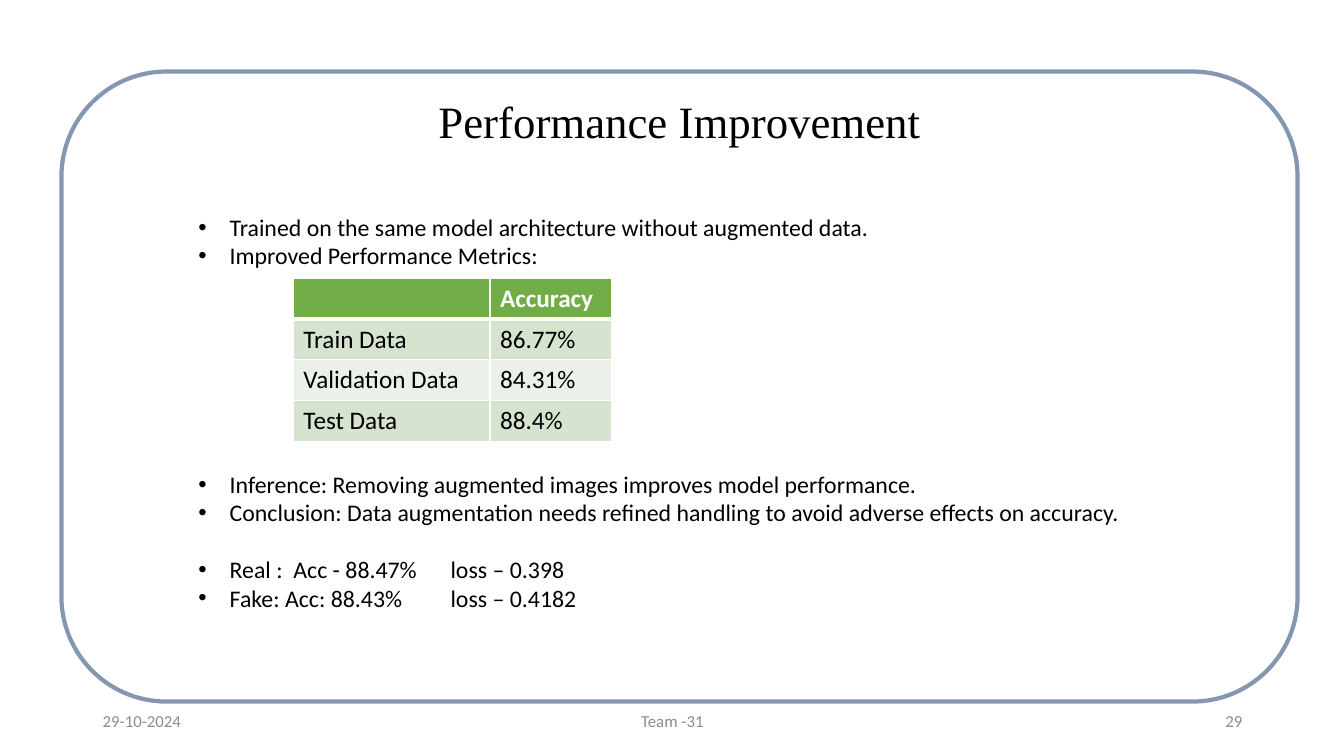
from pptx import Presentation
from pptx import util as u
from pptx.dml.color import RGBColor
from pptx.enum import shapes, text
from pptx.oxml.ns import qn
from lxml import etree

BLACK = RGBColor(0x00, 0x00, 0x00)
WHITE = RGBColor(0xFF, 0xFF, 0xFF)
GREY = RGBColor(0x8C, 0x8C, 0x8C)
FRAME_BLUE = RGBColor(0x84, 0x97, 0xB0)
GREEN = RGBColor(0x70, 0xAD, 0x47)
BANDS = (RGBColor(0xEB, 0xF1, 0xE9), RGBColor(0xD5, 0xE3, 0xCF))

FINDINGS = [
    "Trained on the same model architecture without augmented data.",
    "Improved Performance Metrics:",
]
CONCLUSIONS = [
    "Inference: Removing augmented images improves model performance.",
    "Conclusion: Data augmentation needs refined handling to avoid adverse effects on accuracy.",
    "Real :  Acc - 88.47%\tloss – 0.398",
    "Fake: Acc: 88.43%\tloss – 0.4182",
]
ACCURACY = [
    ("", "Accuracy"),
    ("Train Data", "86.77%"),
    ("Validation Data", "84.31%"),
    ("Test Data", "88.4%"),
]


class SlideBuilder:
    """Holds the text style and the current slide, and adds elements to it."""

    def __init__(self, slide, font_name="Calibri"):
        self.slide = slide
        self.font_name = font_name

    def style(self, paragraph, size, color, bold=False, font_name=None):
        font = paragraph.font
        font.name = font_name or self.font_name
        font.size = u.Pt(size)
        font.bold = bold
        font.color.rgb = color

    def frame(self, left, top, width, height):
        shape = self.slide.shapes.add_shape(
            shapes.MSO_SHAPE.ROUNDED_RECTANGLE,
            u.Inches(left), u.Inches(top), u.Inches(width), u.Inches(height))
        shape.shadow.inherit = False
        shape.fill.background()
        shape.line.color.rgb = FRAME_BLUE
        shape.line.width = u.Pt(3)

    def text_frame(self, left, top, width, height):
        box = self.slide.shapes.add_textbox(
            u.Inches(left), u.Inches(top), u.Inches(width), u.Inches(height))
        box.text_frame.word_wrap = True
        return box.text_frame

    def label(self, words, left, top, width, height, align, size=12, color=GREY,
              font_name=None, anchor=text.MSO_ANCHOR.MIDDLE):
        frame = self.text_frame(left, top, width, height)
        frame.vertical_anchor = anchor
        paragraph = frame.paragraphs[0]
        paragraph.text = words
        paragraph.alignment = align
        self.style(paragraph, size, color, font_name=font_name)

    def bullets(self, items, left, top, width, height, gap_before=None):
        frame = self.text_frame(left, top, width, height)
        for index, item in enumerate(items):
            paragraph = frame.add_paragraph() if index else frame.paragraphs[0]
            paragraph.text = item
            if index == gap_before:
                paragraph.space_before = u.Pt(20)
            properties = paragraph._p.get_or_add_pPr()
            properties.set("marL", str(u.Inches(0.31)))
            properties.set("indent", str(-u.Inches(0.31)))
            etree.SubElement(properties, qn("a:buFont"), typeface="Arial")
            etree.SubElement(properties, qn("a:buChar"), char="•")
            self.style(paragraph, 17, BLACK)

    def cell_borders(self, cell, bottom_width):
        properties = cell._tc.get_or_add_tcPr()
        for side in "LRTB":
            width = bottom_width if side == "B" else 1
            line = etree.SubElement(properties, qn(f"a:ln{side}"), w=str(u.Pt(width)))
            fill = etree.SubElement(line, qn("a:solidFill"))
            etree.SubElement(fill, qn("a:srgbClr"), val=str(WHITE))

    def table(self, rows, left, top, column_widths, row_height):
        table = self.slide.shapes.add_table(
            len(rows), len(column_widths), u.Inches(left), u.Inches(top),
            u.Inches(sum(column_widths)), u.Inches(row_height * len(rows))).table
        for column, width in zip(table.columns, column_widths):
            column.width = u.Inches(width)
        for row_index, row in enumerate(rows):
            header = row_index == 0
            for column_index, words in enumerate(row):
                cell = table.cell(row_index, column_index)
                self.cell_borders(cell, 3 if header else 1)
                cell.fill.solid()
                cell.fill.fore_color.rgb = GREEN if header else BANDS[row_index % 2]
                paragraph = cell.text_frame.paragraphs[0]
                paragraph.text = words
                self.style(paragraph, 18, WHITE if header else BLACK, bold=header)


def main():
    presentation = Presentation()
    presentation.slide_width = u.Inches(13.33)
    presentation.slide_height = u.Inches(7.5)
    builder = SlideBuilder(presentation.slides.add_slide(presentation.slide_layouts[6]))
    align = text.PP_ALIGN

    builder.frame(0.61, 0.71, 12.26, 6.25)
    builder.label("Performance Improvement", 1.51, 0.88, 10.46, 0.64, align.CENTER,
                  size=32, color=BLACK, font_name="Times New Roman",
                  anchor=text.MSO_ANCHOR.TOP)
    builder.bullets(FINDINGS, 1.87, 2.06, 9.4, 0.68)
    builder.table(ACCURACY, 2.91, 2.76, (1.95, 1.21), 0.405)
    builder.bullets(CONCLUSIONS, 1.87, 4.61, 9.4, 1.53, gap_before=2)
    builder.label("29-10-2024", 0.92, 6.95, 3, 0.4, align.LEFT)
    builder.label("Team -31", 4.42, 6.95, 4.5, 0.4, align.CENTER)
    builder.label("29", 9.42, 6.95, 3, 0.4, align.RIGHT)
    presentation.save("out.pptx")


if __name__ == "__main__":
    main()
